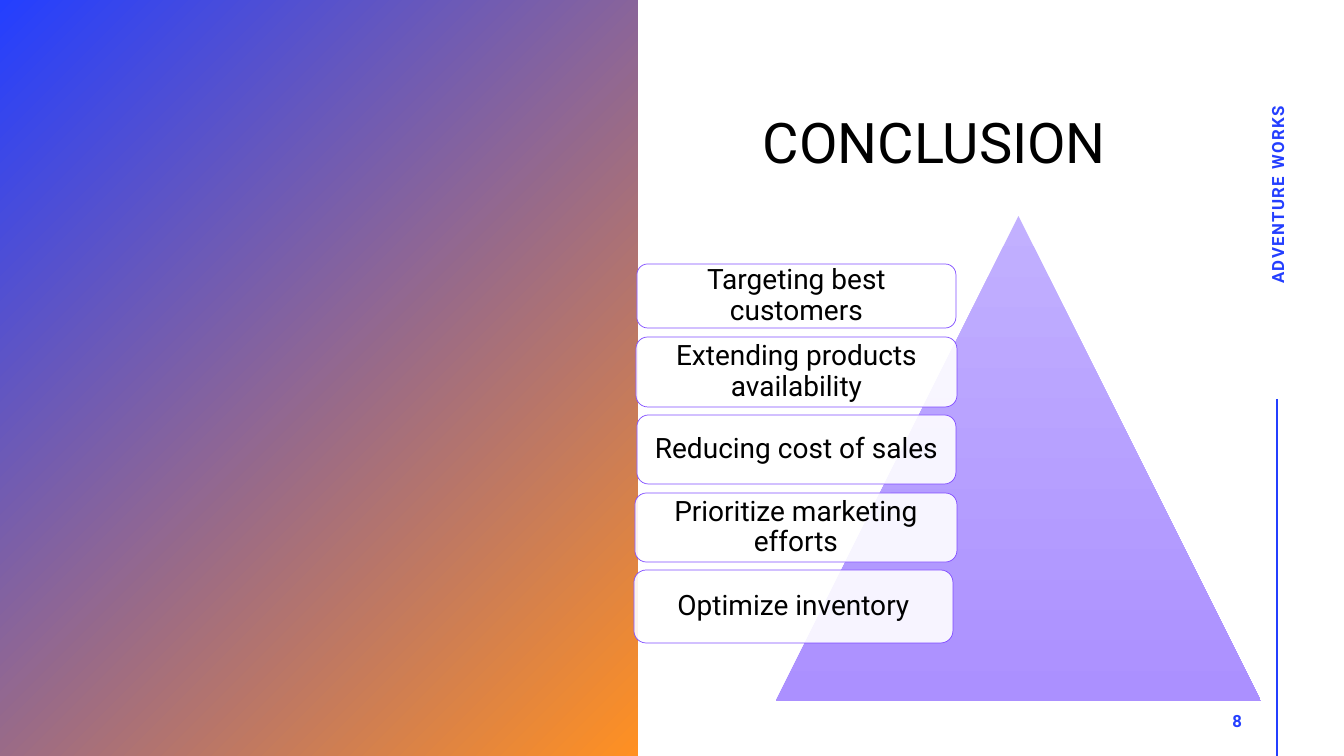
"""Build the conclusion slide with its pyramid list."""
from lxml import etree
from pptx import Presentation
from pptx import util as u
from pptx.dml.color import RGBColor
from pptx.enum import shapes, text
from pptx.oxml import ns

PX = 914400 / 100.8
BLUE = RGBColor(0x24, 0x3F, 0xFF)
ORANGE = RGBColor(0xFF, 0x90, 0x22)
LILAC = RGBColor(0xC2, 0xB0, 0xFF)
VIOLET = RGBColor(0xAB, 0x90, 0xFF)
PURPLE = RGBColor(0x81, 0x4D, 0xFF)
WHITE = RGBColor(0xFF, 0xFF, 0xFF)
BLACK = RGBColor(0x00, 0x00, 0x00)

SHAPE = shapes.MSO_SHAPE
ALIGN = text.PP_ALIGN
ANCHOR = text.MSO_ANCHOR

TITLE = {"size": u.Pt(40), "color": BLACK}
ITEM = {"size": u.Pt(20), "color": BLACK}
LABEL = {"size": u.Pt(12), "color": BLUE, "bold": True}

CARDS = [
    ("Targeting best customers", (637, 264, 319, 64)),
    ("Extending products availability", (636, 337, 321, 70)),
    ("Reducing cost of sales", (637, 415, 319, 69)),
    ("Prioritize marketing efforts", (635, 493, 322, 69)),
    ("Optimize inventory", (634, 570, 319, 73)),
]


def px(*nums):
    return [u.Emu(round(num * PX)) for num in nums]


def write(shape, words, style, align, anchor, inset=(10, 5), space=1.0, track=0):
    frame = shape.text_frame
    side, edge = px(*inset)
    form = {
        "word_wrap": True, "vertical_anchor": anchor,
        "margin_left": side, "margin_right": side,
        "margin_top": edge, "margin_bottom": edge,
    }
    for key, val in form.items():
        setattr(frame, key, val)
    para = frame.paragraphs[0]
    para.alignment = align
    para.line_spacing = space
    run = para.add_run()
    run.text = words
    font = {"name": "Roboto", **style}
    run.font.color.rgb = font.pop("color")
    for key, val in font.items():
        setattr(run.font, key, val)
    if track:
        run.font._element.set("spc", str(track))


def label(slide, words, box, style, align, anchor, turn=0, **form):
    shape = slide.shapes.add_textbox(*px(*box))
    shape.rotation = turn
    write(shape, words, style, align, anchor, **form)


def block(slide, kind, box):
    shape = slide.shapes.add_shape(kind, *px(*box))
    shape.shadow.inherit = False
    return shape


def blend(slide, kind, box, tones, angle):
    shape = block(slide, kind, box)
    shape.line.fill.background()
    shape.fill.gradient()
    shape.fill.gradient_angle = angle
    for stop, tone in zip(shape.fill.gradient_stops, tones):
        stop.color.rgb = tone


def card(slide, words, box):
    shape = block(slide, SHAPE.ROUNDED_RECTANGLE, box)
    shape.fill.solid()
    shape.fill.fore_color.rgb = WHITE
    tone = shape._element.spPr.find(ns.qn("a:solidFill"))[0]
    etree.SubElement(tone, ns.qn("a:alpha"), val="90000")
    shape.line.color.rgb = PURPLE
    shape.line.width = u.Pt(0.5)
    write(shape, words, ITEM, ALIGN.CENTER, ANCHOR.MIDDLE, inset=(8, 8), space=0.9)


def rule(slide, ends):
    line = slide.shapes.add_connector(shapes.MSO_CONNECTOR.STRAIGHT, *px(*ends))
    line.line.color.rgb = BLUE
    line.line.width = u.Pt(2)
    etree.SubElement(line._element.spPr, ns.qn("a:effectLst"))


def main():
    deck = Presentation()
    deck.slide_width, deck.slide_height = px(1344, 756)
    slide = deck.slides.add_slide(deck.slide_layouts[6])
    rule(slide, (1277, 399, 1277, 756))
    blend(slide, SHAPE.RECTANGLE, (0, 0, 638, 756), (BLUE, ORANGE), 315)
    label(slide, "CONCLUSION", (753, 83, 489, 98), TITLE,
          ALIGN.LEFT, ANCHOR.BOTTOM, space=0.9)
    label(slide, "ADVENTURE WORKS", (1082, 175, 391, 40), LABEL,
          ALIGN.CENTER, ANCHOR.MIDDLE, turn=270, track=100)
    label(slide, "8", (950, 701, 302, 40), LABEL,
          ALIGN.RIGHT, ANCHOR.MIDDLE, track=100)
    blend(slide, SHAPE.ISOSCELES_TRIANGLE, (776, 216, 485, 485), (LILAC, VIOLET), 270)
    for words, box in CARDS:
        card(slide, words, box)
    deck.save("out.pptx")


if __name__ == "__main__":
    main()
